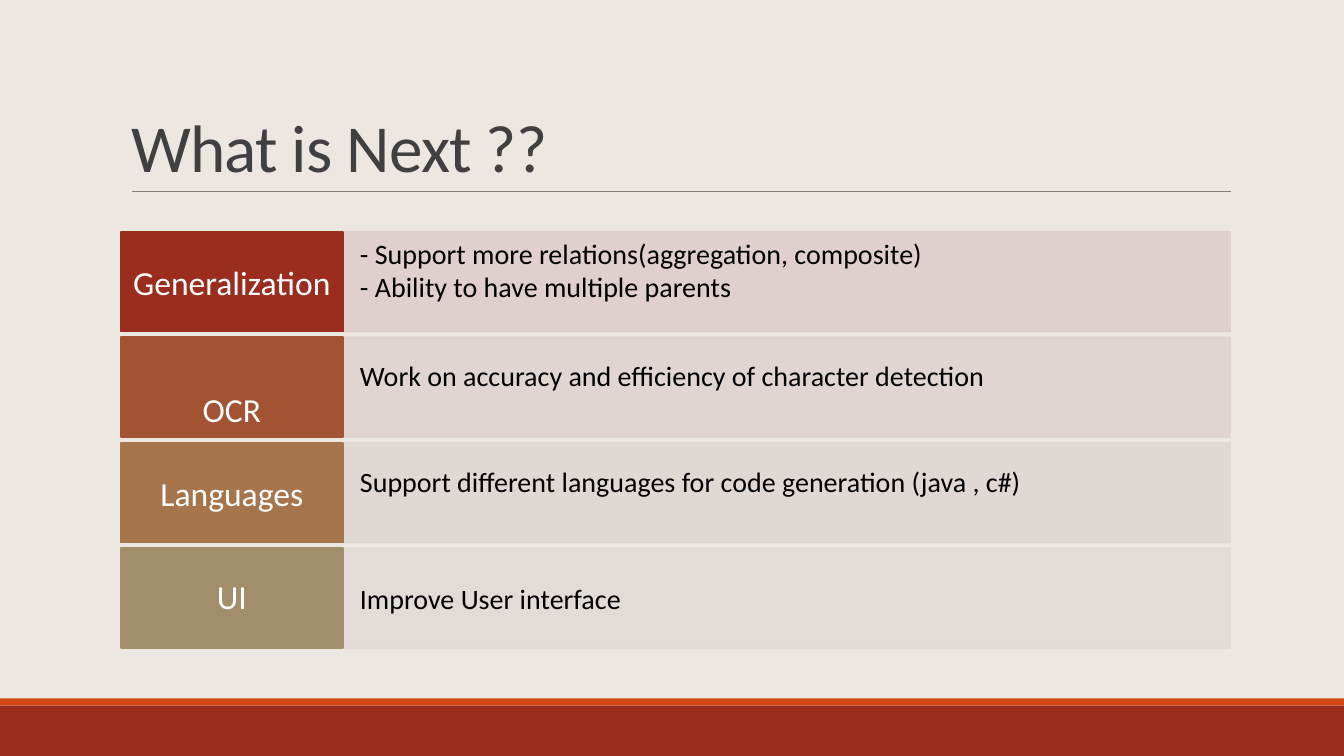
from dataclasses import dataclass

from lxml.etree import SubElement
from pptx import Presentation
from pptx.dml.color import RGBColor
from pptx.enum.shapes import MSO_CONNECTOR, MSO_SHAPE
from pptx.enum.text import MSO_ANCHOR, MSO_AUTO_SIZE, PP_ALIGN
from pptx.oxml.ns import qn
from pptx.shapes.autoshape import Shape
from pptx.slide import Slide
from pptx.text.text import TextFrame
from pptx.util import Inches, Pt

FONT = "Calibri"
LEFT, LABEL_W, BODY_W = 1.2, 2.2, 8.8
ROW_TOP, ROW_H, ROW_PITCH = 2.3, 0.99, 3.14 / 3


@dataclass(frozen=True)
class Topic:
    label: str
    color: str
    lines: tuple[str, ...]
    tint: str
    label_shift: float = 0
    body_shift: float = 0


TOPICS = [
    Topic("Generalization", "9B2D1F",
          ("- Support more relations(aggregation, composite)",
           "- Ability to have multiple parents"), "DECDCD", body_shift=-0.24),
    Topic("OCR", "A25333",
          ("Work on accuracy and efficiency of character detection",),
          "DFD3CF", label_shift=0.43, body_shift=-0.24),
    Topic("Languages", "A6754B",
          ("Support different languages for code generation (java , c#)",),
          "DFD7D2", body_shift=-0.22),
    Topic("UI", "A28E6A", ("Improve User interface",), "E0DBD4", label_shift=-0.04),
]


def rgb(color: str) -> RGBColor:
    return RGBColor.from_string(color)


def add_rect(s: Slide, x: float, y: float, w: float, h: float, color: str) -> Shape:
    sp = s.shapes.add_shape(MSO_SHAPE.RECTANGLE, Inches(x), Inches(y), Inches(w), Inches(h))
    sp.shadow.inherit = False
    sp.fill.solid()
    sp.fill.fore_color.rgb = rgb(color)
    sp.line.fill.background()
    return sp


def outline(sp: Shape, color: str) -> None:
    sp.line.color.rgb = rgb(color)
    sp.line.width = Pt(1.25)


def set_opacity(sp: Shape, percent: int) -> None:
    """Apply the same opacity to the fill and the outline."""
    for clr in sp.element.spPr.iter(qn("a:srgbClr")):
        SubElement(clr, qn("a:alpha")).set("val", str(percent * 1000))


def write(tf: TextFrame, lines: tuple[str, ...], size: int, color: str,
          align: PP_ALIGN) -> None:
    for i, line in enumerate(lines):
        p = tf.add_paragraph() if i else tf.paragraphs[0]
        p.alignment = align
        r = p.add_run()
        r.text = line
        r.font.name, r.font.size = FONT, Pt(size)
        r.font.color.rgb = rgb(color)


def set_frame(tf: TextFrame, side: float, shift: float) -> None:
    """Centre the text vertically, moved down (or up if negative) by half the shift."""
    tf.word_wrap = True
    tf.vertical_anchor = MSO_ANCHOR.MIDDLE
    tf.margin_left = tf.margin_right = Inches(side)
    tf.margin_top, tf.margin_bottom = Inches(max(shift, 0)), Inches(max(-shift, 0))


def add_topic(s: Slide, topic: Topic, y: float) -> None:
    body = add_rect(s, LEFT + LABEL_W, y, BODY_W, ROW_H, topic.tint)
    outline(body, topic.tint)
    set_opacity(body, 90)
    set_frame(body.text_frame, 0.17, topic.body_shift)
    write(body.text_frame, topic.lines, 20, "000000", PP_ALIGN.LEFT)

    label = add_rect(s, LEFT, y, LABEL_W, ROW_H, topic.color)
    outline(label, topic.color)
    set_frame(label.text_frame, 0.12, topic.label_shift)
    write(label.text_frame, (topic.label,), 24, "FFFFFF", PP_ALIGN.CENTER)


def add_title(s: Slide, text: str) -> None:
    title = s.shapes.title
    title.left, title.top = Inches(LEFT), Inches(0.31)
    title.width, title.height = Inches(11), Inches(1.59)
    tf = title.text_frame
    tf.auto_size = MSO_AUTO_SIZE.NONE
    tf.word_wrap = True
    tf.vertical_anchor = MSO_ANCHOR.BOTTOM
    write(tf, (text,), 48, "404040", PP_ALIGN.LEFT)
    p = tf.paragraphs[0]
    p.line_spacing = 0.85
    p.runs[0].font._element.set("spc", "-50")


def add_rule(s: Slide) -> None:
    rule = s.shapes.add_connector(MSO_CONNECTOR.STRAIGHT, Inches(1.31), Inches(1.9),
                                  Inches(12.21), Inches(1.9))
    rule.line.color.rgb = rgb("808080")
    rule.line.width = Pt(0.5)
    SubElement(rule.element.spPr, qn("a:effectLst"))


def main() -> None:
    prs = Presentation()
    prs.slide_width, prs.slide_height = Inches(13.33), Inches(7.5)
    s = prs.slides.add_slide(prs.slide_layouts[5])
    s.background.fill.solid()
    s.background.fill.fore_color.rgb = rgb("ECE8E1")

    add_rect(s, 0, 7, 13.33, 0.5, "9B2D1F")
    add_rect(s, 0, 6.93, 13.33, 0.07, "D34817")
    add_rule(s)
    add_title(s, "What is Next ??")
    for i, topic in enumerate(TOPICS):
        add_topic(s, topic, ROW_TOP + i * ROW_PITCH)
    prs.save("out.pptx")


if __name__ == "__main__":
    main()
